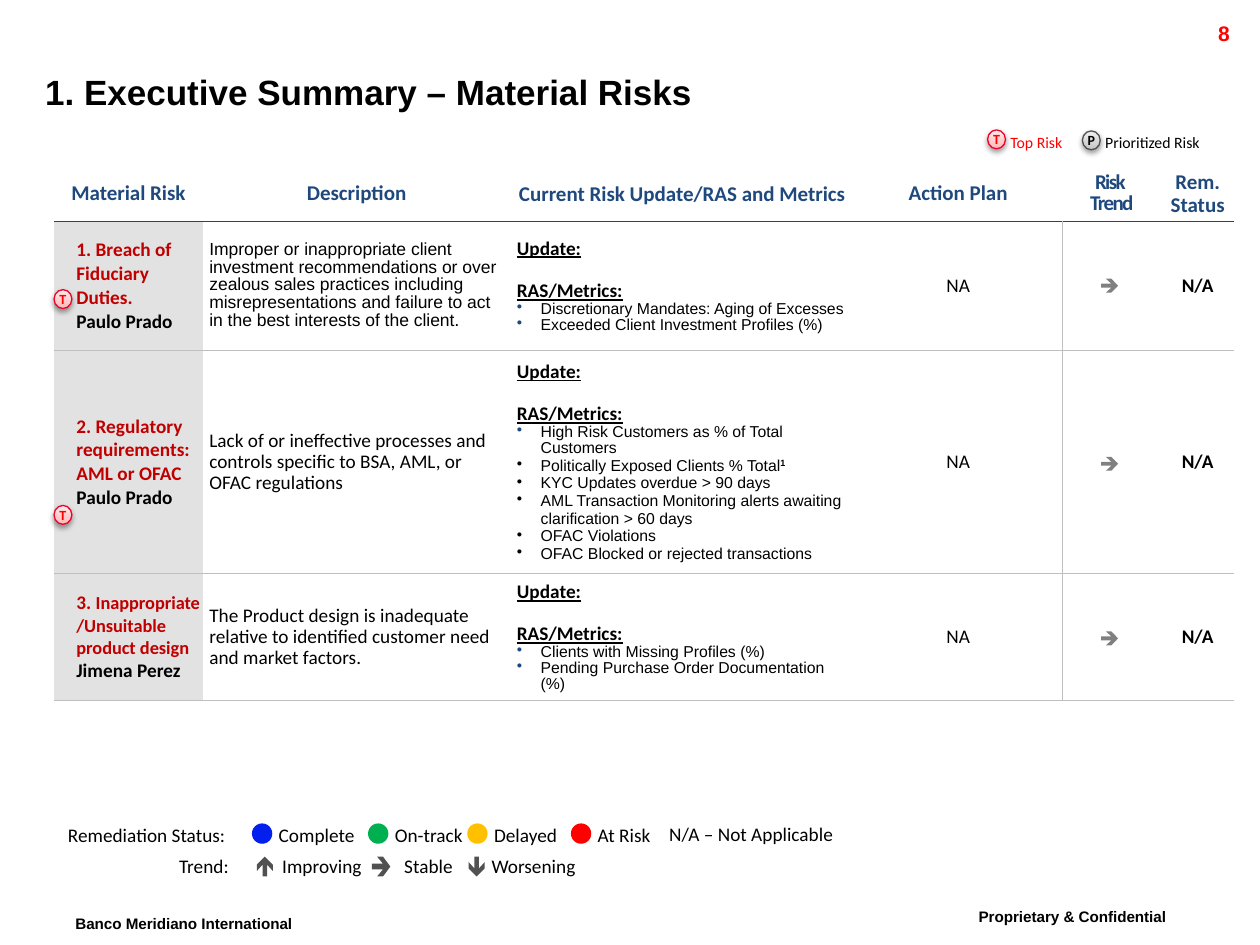
from copy import deepcopy

from lxml import etree
from pptx import Presentation
from pptx.dml.color import RGBColor
from pptx.enum.shapes import MSO_SHAPE
from pptx.enum.text import MSO_ANCHOR, PP_ALIGN
from pptx.oxml.ns import qn
from pptx.util import Cm, Pt

OVAL = MSO_SHAPE.OVAL
DOT = MSO_SHAPE.FLOWCHART_OR
MIDDLE = MSO_ANCHOR.MIDDLE
LEFT, CENTER, RIGHT = PP_ALIGN.LEFT, PP_ALIGN.CENTER, PP_ALIGN.RIGHT
BLACK, RED, BRICK, NAVY = "000000", "FF0000", "C00000", "1F497D"
GRAY, DARK, SHADE = "BFBFBF", "404040", "E3E2E2"
ROSE = ("FFB4B6", "FFCACC", "FFEBEC")
SILVER = ("C2C2C2", "D4D4D4", "EFEFEF")
ARROW = [(1, .5), (.6, 0), (.28, 0), (.6, .36), (0, .36),
         (0, .64), (.6, .64), (.28, 1), (.6, 1)]
TURNS = {"right": lambda u, v: (u, v),
         "up": lambda u, v: (v, 1 - u),
         "down": lambda u, v: (v, u)}


def hue(code):
    return RGBColor.from_string(code)


def node(parent, tag, **attrs):
    return etree.SubElement(parent, qn(tag), attrs)


class Page:
    def __init__(self, deck):
        self.slide = deck.slides.add_slide(deck.slide_layouts[5])
        self.shapes = self.slide.shapes

    def para(self, frame, text, size=11, color=BLACK, font="Calibri", bold=False,
             under=False, align=LEFT, lead=1.0, gap=0, dot=None, tight=0):
        par = frame.paragraphs[0]
        if par.runs:
            par = frame.add_paragraph()
        if dot:
            props = par._p.get_or_add_pPr()
            props.set("marL", str(Cm(.48)))
            props.set("indent", str(-Cm(.48)))
            node(node(props, "a:buClr"), "a:srgbClr", val=dot)
            node(props, "a:buChar", char="•")
        par.alignment, par.line_spacing, par.space_before = align, lead, Pt(gap)
        face = par.font
        face.size, face.name, face.bold, face.underline = Pt(size), font, bold, under
        face.color.rgb = hue(color)
        if tight:
            face._element.set("spc", str(tight))
        par.add_run().text = text
        return par

    def tail(self, par, text, size=None, bold=None):
        run = par.add_run()
        run.text = text
        if size:
            run.font.size = Pt(size)
        run.font.bold = bold
        return run

    def lift(self, run):
        run.font._element.set("baseline", "30000")

    def title(self, text, x, y, w, h):
        box = self.shapes.title
        box.left, box.top, box.width, box.height = Cm(x), Cm(y), Cm(w), Cm(h)
        self.pad(box.text_frame)
        self.para(box.text_frame, text, 20, font="Arial", bold=True)

    def pad(self, frame, wrap=True):
        frame.margin_left = frame.margin_right = 0
        frame.margin_top = frame.margin_bottom = 0
        frame.vertical_anchor, frame.word_wrap = MIDDLE, wrap

    def label(self, text, x, y, w, h=.48, **style):
        frame = self.shapes.add_textbox(Cm(x), Cm(y), Cm(w), Cm(h)).text_frame
        self.pad(frame)
        self.para(frame, text, **style)

    def note(self, text, x, y, w, h, **style):
        frame = self.shapes.add_textbox(Cm(x), Cm(y), Cm(w), Cm(h)).text_frame
        frame.word_wrap = True
        return self.para(frame, text, font="Arial", bold=True, **style)

    def badge(self, text, x, y, tones=ROSE, edge="ED032A", color=RED):
        shape = self.shapes.add_shape(OVAL, Cm(x), Cm(y), Cm(.36), Cm(.38))
        shape.fill.gradient()
        shape.fill.gradient_angle = 90
        props = shape._element.spPr
        stops = props.find(".//" + qn("a:gsLst"))
        stops.insert(1, deepcopy(stops[0]))
        for stop, place, tone in zip(shape.fill.gradient_stops, (0, .35, 1), tones):
            stop.position, stop.color.rgb = place, hue(tone)
        shape.line.color.rgb, shape.line.width = hue(edge), Pt(.75)
        shape.shadow.inherit = False
        glow = node(props.find(qn("a:effectLst")), "a:outerShdw", blurRad=str(Pt(3.1)),
                    dist=str(Pt(1.6)), dir="5400000", rotWithShape="0")
        node(node(glow, "a:srgbClr", val=BLACK), "a:alpha", val="38000")
        self.pad(shape.text_frame, False)
        self.para(shape.text_frame, text, 8, color, bold=True, align=CENTER)

    def spot(self, x, y, color):
        shape = self.shapes.add_shape(DOT, Cm(x), Cm(y), Cm(.41), Cm(.41))
        self.paint(shape, color)

    def paint(self, shape, color):
        shape.shadow.inherit = False
        shape.fill.solid()
        shape.fill.fore_color.rgb = hue(color)
        shape.line.fill.background()

    def arrow(self, way, x, y, w, h, color):
        spots = [TURNS[way](u, v) for u, v in ARROW]
        spots = [(Cm(x + w * u), Cm(y + h * v)) for u, v in spots]
        path = self.shapes.build_freeform(*spots[0])
        path.add_line_segments(spots[1:], close=True)
        self.paint(path.convert_to_shape(), color)

    def grid(self, x, y, cols, rows):
        table = self.shapes.add_table(len(rows), len(cols), Cm(x), Cm(y),
                                      Cm(sum(cols)), Cm(sum(rows))).table
        table.first_row = table.horz_banding = False
        for col, size in zip(table.columns, cols):
            col.width = Cm(size)
        for row, size in zip(table.rows, rows):
            row.height = Cm(size)
        return table

    def cell(self, cell, pads, edges, fill=None):
        cell.margin_left, cell.margin_top, cell.margin_right, cell.margin_bottom = map(Cm, pads)
        cell.vertical_anchor = MIDDLE
        props = cell._tc.get_or_add_tcPr()
        for side in "LRTB":
            line = node(props, "a:ln" + side, w=str(Pt(.5)))
            if side in edges:
                node(node(line, "a:solidFill"), "a:srgbClr", val=edges[side])
            else:
                node(line, "a:noFill")
        if fill:
            cell.fill.solid()
            cell.fill.fore_color.rgb = hue(fill)
        else:
            cell.fill.background()
        return cell.text_frame


HEADS = ["Material Risk", "Description", "Current Risk Update/RAS and Metrics",
         "Action Plan", "Risk ", "Rem. Status"]
RISKS = [
    ("1. Breach of Fiduciary Duties.", "", "Paulo Prado",
     "Improper or inappropriate client investment recommendations or over zealous sales "
     "practices including misrepresentations and failure to act in the best interests of "
     "the client", ".", 10, "Arial",
     ["Discretionary Mandates: Aging of Excesses", "Exceeded Client Investment Profiles (%)"], []),
    ("2. Regulatory requirements: AML or OFAC", "", "Paulo Prado",
     "Lack of or ineffective processes and controls specific to BSA, AML, or OFAC regulations",
     "", 11, "Calibri", ["High Risk Customers as % of Total Customers"],
     ["Politically Exposed Clients % Total", "KYC Updates overdue > 90 days",
      "AML Transaction Monitoring alerts awaiting clarification > 60 days",
      "OFAC Violations", "OFAC Blocked or rejected transactions"]),
    ("3. ", "Inappropriate /Unsuitable product design", "Jimena Perez",
     "The Product design is inadequate relative to identified customer need and market factors.",
     "", 11, "Calibri",
     ["Clients with Missing Profiles (%)", "Pending Purchase Order Documentation (%)"], []),
]


def fill_risks(page):
    table = page.grid(1.09, 3.45, [3, 6.2, 6.93, 4.19, 2.01, 1.45], [1, 2.6, 4.5, 2.54])
    for col, head in enumerate(HEADS):
        frame = page.cell(table.cell(0, col), (0, 0, 0, .1), {"B": DARK})
        style = dict(size=12, color=NAVY, bold=True, align=CENTER)
        if col == 4:
            style.update(lead=.8, tight=-90)
            page.para(frame, head, **style)
            page.para(frame, "Trend", **style)
        else:
            page.para(frame, head, lead=1.0 if col == 2 else .9, **style)
    for row, (name, rest, owner, about, end, size, font, keys, more) in enumerate(RISKS, 1):
        edges = {"T": DARK if row == 1 else GRAY, "B": GRAY}
        even = (.13,) * 4
        frame = page.cell(table.cell(row, 0), (.45, 0, 0, 0), edges, SHADE)
        par = page.para(frame, name, color=BRICK, bold=True)
        if rest:
            page.tail(par, rest, 10.5)
        page.para(frame, owner, bold=True)
        frame = page.cell(table.cell(row, 1), even, edges)
        par = page.para(frame, about, size, font=font, lead=.9)
        if end:
            page.tail(par, end, 10.5)
        frame = page.cell(table.cell(row, 2), even, edges)
        for text, gap in (("Update:", 0), ("RAS/Metrics:", 12)):
            page.para(frame, text, bold=True, under=True, lead=.9, gap=gap)
        for text in keys:
            page.para(frame, text, 9, font="Arial", lead=.9, dot=NAVY)
        for text in more:
            par = page.para(frame, text, 9, font="Arial", dot=BLACK)
            if text.endswith("Total"):
                page.lift(page.tail(par, "1", bold=True))
        frame = page.cell(table.cell(row, 3), even, {**edges, "R": GRAY})
        page.para(frame, "NA", align=CENTER, lead=.9)
        page.cell(table.cell(row, 4), even, {**edges, "L": GRAY})
        frame = page.cell(table.cell(row, 5), (0,) * 4, edges)
        page.para(frame, "N/A", bold=True, align=CENTER, lead=.9)


def main():
    deck = Presentation()
    deck.slide_width, deck.slide_height = Cm(25.4), Cm(19.05)
    page = Page(deck)
    page.title("1. Executive Summary – Material Risks", .91, 1.24, 22.91, 1.22)
    page.note("8", 22.63, .28, 2.41, .61, size=12, color=RED, align=RIGHT)
    for text, x, y in (("Proprietary & Confidential", 19.48, 18.11),
                       ("Banco Meridiano International", 1.27, 18.24)):
        page.lift(page.note(text, x, y, 5.6, .89, size=15).runs[0])
    page.badge("T", 19.91, 2.62)
    page.label("Top Risk", 20.37, 2.67, 1.3, .38, size=9, color=RED)
    page.badge("P", 21.82, 2.64, SILVER, "4F4F4F", BLACK)
    page.label("Prioritized Risk", 22.28, 2.67, 2.21, .38, size=9)
    fill_risks(page)
    for y in (5.62, 9.21, 12.73):
        page.arrow("right", 22.2, y, .34, .28, "808080")
    for y in (5.84, 10.19):
        page.badge("T", 1.09, y)
    page.label("Remediation Status:", 1.37, 16.59, 3.56)
    for text, x, color in (("Complete", 5.08, "031FED"), ("On-track", 7.42, "00B050"),
                           ("Delayed", 9.42, "FFC000"), ("At Risk", 11.51, RED)):
        page.spot(x, 16.6, color)
        page.label(text, x + .54, 16.59, 1.7)
    page.label("N/A – Not Applicable", 13.49, 16.56, 5.26)
    page.label("Trend:", 3.61, 17.22, 1.47)
    for text, x, way, left, wide in (("Improving", 5.69, "up", 5.18, .32),
                                     ("Stable", 8.15, "right", 7.5, .37),
                                     ("Worsening", 9.91, "down", 9.45, .32)):
        page.arrow(way, left, 17.27, wide, .4, "515151")
        page.label(text, x, 17.22, 2)
    deck.save("out.pptx")


if __name__ == "__main__":
    main()
